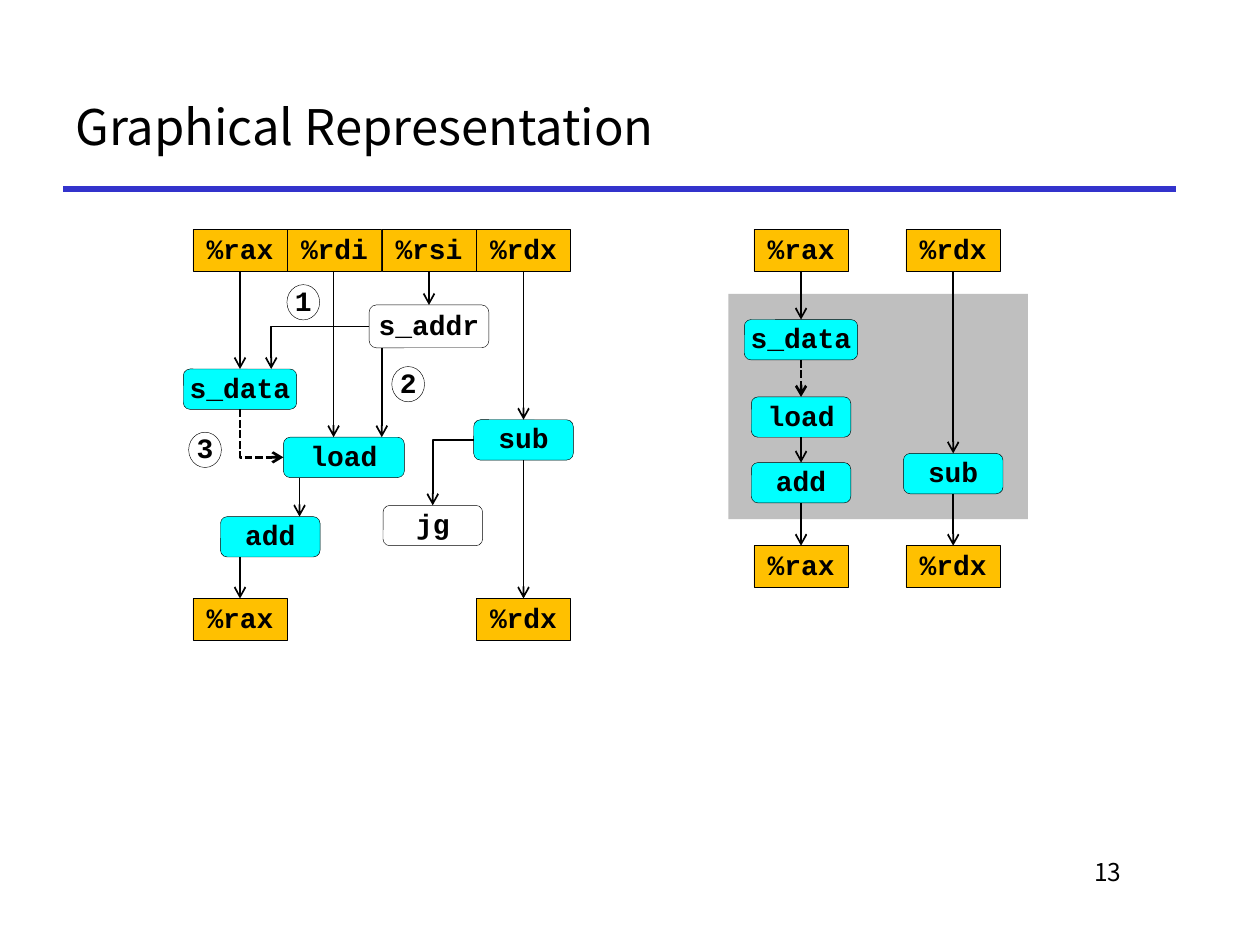
from dataclasses import dataclass

from pptx import Presentation
from pptx.dml.color import RGBColor
from pptx.enum.dml import MSO_LINE
from pptx.enum.shapes import MSO_CONNECTOR, MSO_SHAPE
from pptx.enum.text import MSO_ANCHOR, MSO_AUTO_SIZE, PP_ALIGN
from pptx.oxml.ns import qn
from pptx.oxml.xmlchemy import OxmlElement
from pptx.util import Inches, Pt

RECT, ROUND, OVAL = MSO_SHAPE.RECTANGLE, MSO_SHAPE.ROUNDED_RECTANGLE, MSO_SHAPE.OVAL
STRAIGHT, ELBOW = MSO_CONNECTOR.STRAIGHT, MSO_CONNECTOR.ELBOW
DASH = MSO_LINE.SQUARE_DOT
MIDDLE, NO_FIT = MSO_ANCHOR.MIDDLE, MSO_AUTO_SIZE.NONE
LEFT, CENTER, RIGHT = PP_ALIGN.LEFT, PP_ALIGN.CENTER, PP_ALIGN.RIGHT


@dataclass(frozen=True)
class Theme:
    """Colours, fonts and type sizes of the slide."""
    ink: str = "000000"
    rule: str = "3333CC"
    register: str = "FFC000"
    step: str = "00FFFF"
    plain: str = "FFFFFF"
    panel: str = "BFBFBF"
    body: str = "Noto Sans CJK KR"
    code: str = "Courier New"
    title_size: int = 28
    code_size: int = 16
    number_size: int = 14


THEME = Theme()


def rgb(value):
    """Turn a hex string into a colour."""
    return RGBColor.from_string(value)


def write(tf, text, name, size, align, bold=False):
    """Put one formatted paragraph into a text frame."""
    tf.word_wrap = True
    p = tf.paragraphs[0]
    p.text, p.alignment = text, align
    p.font.name, p.font.size, p.font.bold = name, Pt(size), bold
    p.font.color.rgb = rgb(THEME.ink)


def line(s, kind, start, end, color=THEME.ink, width=1.0):
    """Draw a connector without a shadow between two points in EMU."""
    c = s.shapes.add_connector(kind, *map(int, (*start, *end)))
    c.line.color.rgb, c.line.width = rgb(color), Pt(width)
    c._element.spPr.append(OxmlElement("a:effectLst"))
    return c


def arrow(s, kind, start, end, dashed=False):
    """Draw a connector with an open arrowhead, dashed if asked."""
    c = line(s, kind, start, end, width=1.5 if dashed else 1.0)
    if dashed:
        c.line.dash_style = DASH
    tail = OxmlElement("a:tailEnd")
    tail.set("type", "arrow")
    c.line._get_or_add_ln().append(tail)
    return c


def bend(s, start, end, down_first=False, dashed=False):
    """Draw an arrow with one corner, leaving sideways or downwards."""
    if down_first:
        (x1, y1), (x2, y2) = start, end
        cx, cy, w, h = (x1 + x2) / 2, (y1 + y2) / 2, y2 - y1, x2 - x1
        start, end = (cx + w / 2, cy - h / 2), (cx - w / 2, cy + h / 2)
    c = arrow(s, ELBOW, start, end, dashed)
    sp = c._element.spPr
    sp.find(qn("a:prstGeom")).set("prst", "bentConnector2")
    if down_first:
        sp.find(qn("a:xfrm")).set("rot", str(270 * 60000))


@dataclass
class Flow:
    """Data-flow diagram on a grid of register-sized cells."""
    s: object
    left: float
    top: float
    col: float = 0.75
    row: float = 0.33

    def x(self, cols):
        """Horizontal place of a column."""
        return Inches(self.left + cols * self.col)

    def y(self, rows):
        """Vertical place of a row."""
        return Inches(self.top + rows * self.row)

    def node(self, text, mid, row, kind=ROUND, fill=THEME.step, size=(0.79, 0.32)):
        """Add a labelled shape centred on a column, with its top on a row."""
        w, h = map(Inches, size)
        sp = self.s.shapes.add_shape(kind, self.x(mid) - w // 2, self.y(row), w, h)
        sp.shadow.inherit = False
        if fill:
            sp.fill.solid()
            sp.fill.fore_color.rgb = rgb(fill)
        else:
            sp.fill.background()
        sp.line.color.rgb, sp.line.width = rgb(THEME.ink), Pt(0.25)
        tf = sp.text_frame
        tf.margin_left = tf.margin_right = tf.margin_top = tf.margin_bottom = 0
        tf.vertical_anchor = MIDDLE
        write(tf, text, THEME.code, THEME.code_size, CENTER, True)
        tf.paragraphs[0].line_spacing = 0.9
        return sp

    def register(self, text, mid, row=0):
        """Add a register cell."""
        return self.node(text, mid, row, RECT, THEME.register, (self.col, self.row))

    def marker(self, text, mid, row):
        """Add a circled step number."""
        self.node(text, mid, row, OVAL, None, (0.26, 0.28))

    def drop(self, a, b, mid, dashed=False):
        """Point straight down from one node to the next along a column."""
        x = self.x(mid)
        arrow(self.s, STRAIGHT, (x, a.top + a.height), (x, b.top), dashed)

    def side(self, a, b, mid):
        """Leave the left side of a node and turn down onto another."""
        bend(self.s, (a.left, a.top + a.height // 2), (self.x(mid), b.top))


def full_flow(s, left, top):
    """Draw every operation between the four registers."""
    f = Flow(s, left, top)
    names = ("%rax", "%rdi", "%rsi", "%rdx")
    rax, rdi, rsi, rdx = (f.register(n, i + 0.5) for i, n in enumerate(names))
    rax_out, rdx_out = f.register("%rax", 0.5, 8.88), f.register("%rdx", 3.5, 8.88)
    s_addr = f.node("s_addr", 2.5, 1.82, fill=THEME.plain, size=(0.95, 0.34))
    s_data = f.node("s_data", 0.5, 3.36, size=(0.9, 0.32))
    sub = f.node("sub", 3.5, 4.58)
    load = f.node("load", 1.6, 5, size=(0.96, 0.32))
    jg = f.node("jg", 2.54, 6.64, fill=THEME.plain)
    add = f.node("add", 0.82, 6.91)
    for a, b, mid in ((rax, s_data, 0.5), (rdi, load, 1.49), (rsi, s_addr, 2.5),
                      (rdx, sub, 3.5), (s_addr, load, 2), (load, add, 1.13),
                      (add, rax_out, 0.5), (sub, rdx_out, 3.5)):
        f.drop(a, b, mid)
    f.side(s_addr, s_data, 0.83)
    f.side(sub, jg, 2.54)
    bend(s, (f.x(0.5), s_data.top + s_data.height),
         (load.left, load.top + load.height // 2), down_first=True, dashed=True)
    for text, mid, row in (("1", 1.17, 1.33), ("2", 2.28, 3.3), ("3", 0.13, 4.88)):
        f.marker(text, mid, row)


def loop_flow(s, left, top):
    """Draw the operations that carry values from one iteration to the next."""
    f = Flow(s, left, top)
    panel = s.shapes.add_shape(RECT, f.x(0), f.y(1.55),
                               Inches(3.17 * f.col), Inches(5.42 * f.row))
    panel.shadow.inherit = False
    panel.fill.solid()
    panel.fill.fore_color.rgb = rgb(THEME.panel)
    panel.line.fill.background()
    rax, rdx = 0.77, 2.38
    chain = [f.register("%rax", rax), f.node("s_data", rax, 2.17, size=(0.9, 0.32)),
             f.node("load", rax, 4.03), f.node("add", rax, 5.61),
             f.register("%rax", rax, 7.61)]
    for i, (a, b) in enumerate(zip(chain, chain[1:])):
        f.drop(a, b, rax, dashed=i == 1)
    chain = [f.register("%rdx", rdx), f.node("sub", rdx, 5.39),
             f.register("%rdx", rdx, 7.61)]
    for a, b in zip(chain, chain[1:]):
        f.drop(a, b, rdx)


def heading(s, left, top, width, height):
    """Place the title and the rule below it."""
    t = s.shapes.title
    t.left, t.top, t.width, t.height = map(Inches, (left, top, width, height))
    tf = t.text_frame
    tf.auto_size, tf.vertical_anchor = NO_FIT, MIDDLE
    write(tf, "Graphical Representation", THEME.body, THEME.title_size, LEFT)
    y = t.top + t.height
    line(s, STRAIGHT, (t.left, y), (t.left + t.width, y), THEME.rule, 3)


def page_number(s, left, top, width, height):
    """Place the slide number."""
    tb = s.shapes.add_textbox(*map(Inches, (left, top, width, height)))
    write(tb.text_frame, "13", THEME.body, THEME.number_size, RIGHT)


def main():
    """Build and save the slide."""
    prs = Presentation()
    prs.slide_width, prs.slide_height = Inches(10), Inches(7.5)
    s = prs.slides.add_slide(prs.slide_layouts[5])
    heading(s, 0.5, 0.5, 8.83, 1)
    full_flow(s, 1.53, 1.82)
    loop_flow(s, 5.78, 1.82)
    page_number(s, 7.58, 6.75, 1.42, 0.5)
    prs.save("out.pptx")


if __name__ == "__main__":
    main()
